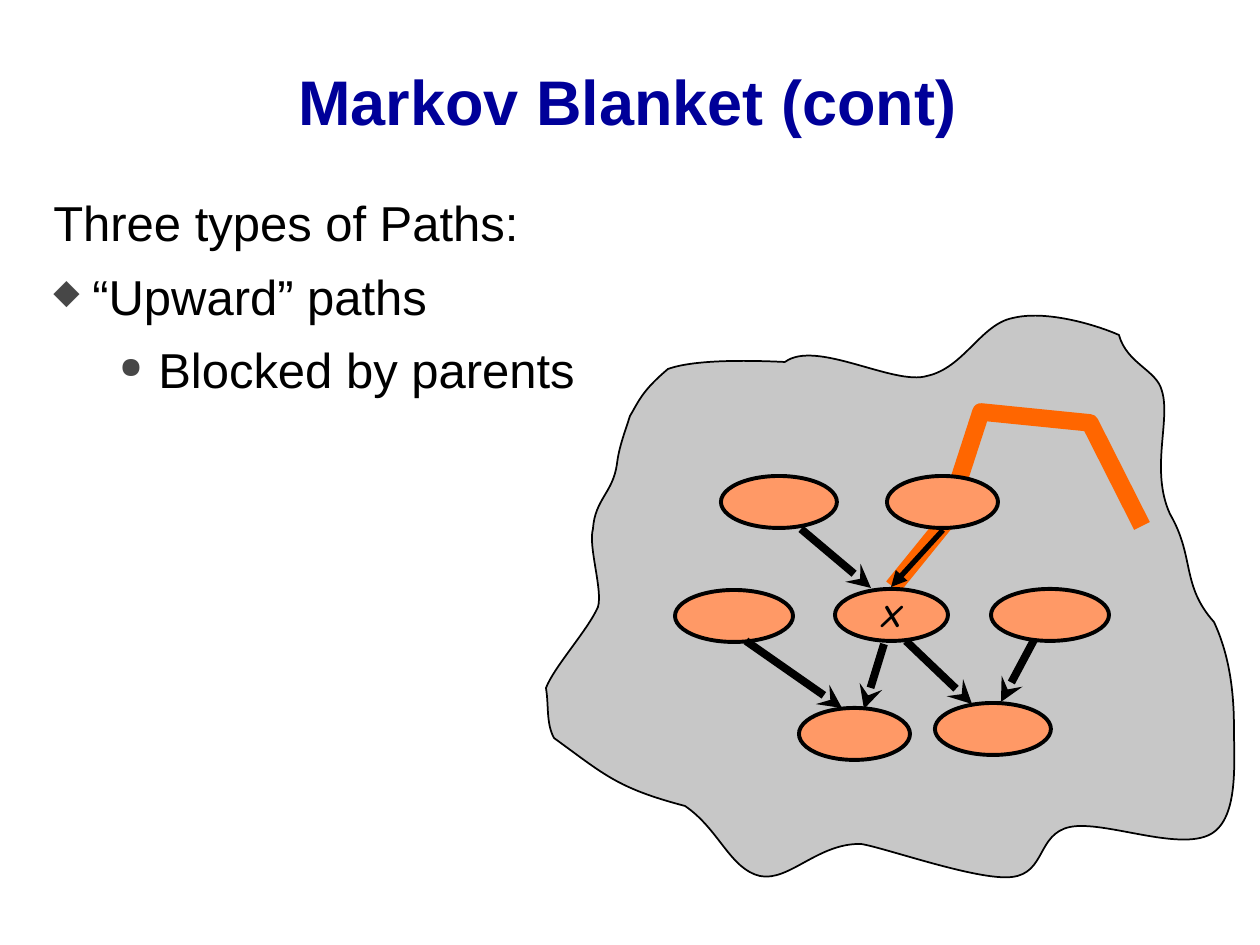
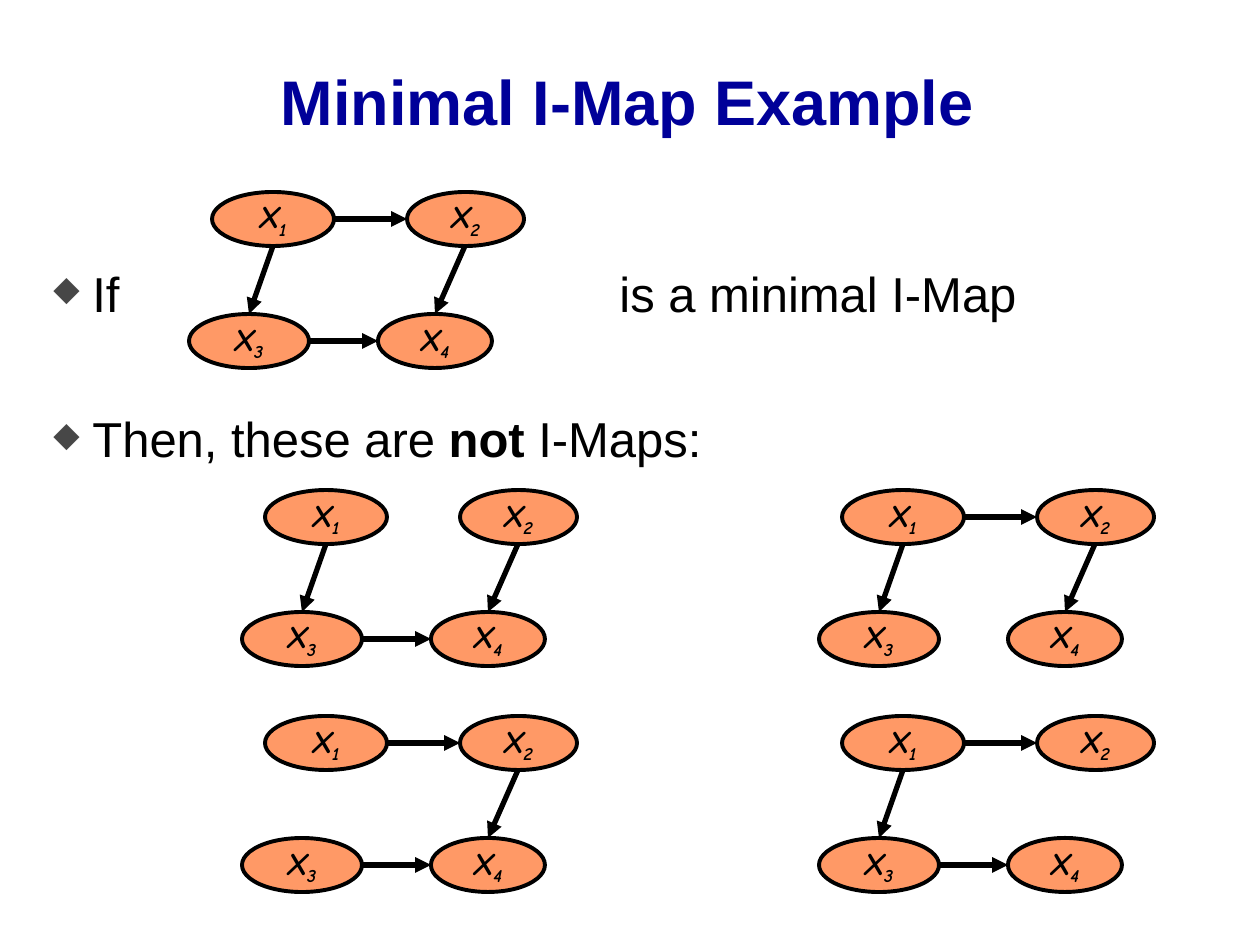
from dataclasses import dataclass

from lxml import etree
from pptx import Presentation
from pptx import util as u
from pptx.dml.color import RGBColor
from pptx.enum import shapes, text
from pptx.oxml.ns import qn

EMU_PER_PX = 914400 / 126


@dataclass(frozen=True)
class Theme:
    title: str = "000099"
    ink: str = "000000"
    bullet: str = "474747"
    node: str = "FF9966"
    route: str = "FF6600"
    cloud: str = "919191"
    text_font: str = "Arial"
    label_font: str = "Comic Neue"
    title_size: int = 36
    body_size: int = 28
    label_size: int = 18


THEME = Theme()
TITLE_BOX = (48, 21, 1159, 158)
DIAMOND = dict(bullet="◆", bullet_size=70, margin=39)
DISC = dict(bullet="●", bullet_size=60, margin=105)
HANG = 39

CLOUD_START = (139, 496)
CLOUD_CURVES = [
    (71, 478), (59, 465), (8, 428), (0, 413), (3, 396), (0, 378),
    (8, 357), (42, 320), (52, 297), (57, 280), (42, 236), (47, 219),
    (49, 189), (67, 183), (71, 154), (73, 137), (79, 122), (84, 106),
    (93, 91), (96, 81), (122, 59), (147, 50), (197, 50), (239, 52),
    (270, 29), (348, 76), (381, 66), (418, 58), (435, 14), (467, 8),
    (499, 0), (548, 14), (573, 25), (581, 54), (611, 60), (616, 81),
    (625, 110), (604, 160), (624, 204), (649, 247), (635, 275), (668, 312),
    (684, 346), (688, 384), (688, 417), (688, 452), (693, 508), (665, 524),
    (633, 542), (558, 510), (524, 517), (491, 524), (500, 563), (466, 567),
    (432, 571), (340, 538), (315, 534), (272, 533), (243, 572), (214, 566),
    (184, 559), (173, 519), CLOUD_START,
]
UPWARD_ROUTE = [(347, 277), (399, 213), (435, 102), (544, 113), (596, 216)]
BLANKET_NODES = [
    (175, 166, 116), (341, 166, 111), (129, 280, 118),
    (445, 279, 118), (253, 398, 111), (389, 393, 116),
]
TARGET_NODE = (289, 279, 113)
BLANKET_ARROWS = [
    (488, 330, 455, 392), (200, 331, 296, 398), (338, 334, 318, 399),
    (255, 219, 325, 278), (360, 331, 426, 394),
]
ROUTE_ARROW = (397, 220, 345, 277)

IMAP_NODES = {1: (23, 0, 122), 2: (218, 0, 117), 3: (0, 122, 120), 4: (189, 122, 114)}
IMAP_NODE_HEIGHT = 54
IMAP_EDGES = [(1, 2), (1, 3), (2, 4), (3, 4)]


def px(length):
    return u.Emu(round(length * EMU_PER_PX))


def rgb(color):
    return RGBColor.from_string(color)


def set_font(font, name, size, color, bold=False, italic=False):
    font.name = name
    font.size = u.Pt(size)
    font.color.rgb = rgb(color)
    font.bold = bold
    font.italic = italic


def set_outline(shape, color, weight):
    shape.shadow.inherit = False
    shape.line.color.rgb = rgb(color)
    shape.line.width = u.Pt(weight)


def add_text_box(slide, box):
    frame = slide.shapes.add_textbox(*map(px, box)).text_frame
    frame.word_wrap = True
    return frame


def add_title(slide, wording):
    frame = add_text_box(slide, TITLE_BOX)
    frame.vertical_anchor = text.MSO_ANCHOR.MIDDLE
    heading = frame.paragraphs[0]
    heading.text = wording
    heading.alignment = text.PP_ALIGN.CENTER
    set_font(heading.font, THEME.text_font, THEME.title_size, THEME.title, bold=True)


def set_bullet(paragraph, bullet=None, bullet_size=100, margin=0, tab=None):
    props = paragraph._p.get_or_add_pPr()
    props.set("marL", str(px(margin)))
    if bullet:
        props.set("indent", str(-px(HANG)))
        color = etree.SubElement(props, qn("a:buClr"))
        etree.SubElement(color, qn("a:srgbClr"), val=THEME.bullet)
        etree.SubElement(props, qn("a:buSzPct"), val=str(bullet_size * 1000))
        etree.SubElement(props, qn("a:buChar"), char=bullet)
    if tab:
        stops = etree.SubElement(props, qn("a:tabLst"))
        etree.SubElement(stops, qn("a:tab"), pos=str(px(tab)), algn="l")


def add_body(slide, box, items, gap):
    frame = add_text_box(slide, box)
    for index, (pieces, style) in enumerate(items):
        line = frame.paragraphs[0] if index == 0 else frame.add_paragraph()
        set_bullet(line, **style)
        if index:
            line.space_before = u.Pt(gap)
        set_font(line.font, THEME.text_font, THEME.body_size, THEME.ink)
        for position, piece in enumerate(pieces):
            run = line.add_run()
            run.text = piece
            if position % 2:
                run.font.bold = True


def add_node(slide, box, label="", subscript=""):
    node = slide.shapes.add_shape(shapes.MSO_SHAPE.OVAL, *map(px, box))
    node.fill.solid()
    node.fill.fore_color.rgb = rgb(THEME.node)
    set_outline(node, THEME.ink, 2.25)
    if label:
        frame = node.text_frame
        frame.word_wrap = False
        frame.vertical_anchor = text.MSO_ANCHOR.MIDDLE
        name = frame.paragraphs[0]
        name.alignment = text.PP_ALIGN.CENTER
        set_font(name.font, THEME.label_font, THEME.label_size, THEME.ink, bold=True, italic=True)
        name.add_run().text = label
        if subscript:
            lowered = name.add_run()
            lowered.text = subscript
            lowered._r.get_or_add_rPr().set("baseline", "-25000")


def add_arrow(slide, ends, weight, head):
    arrow = slide.shapes.add_connector(shapes.MSO_CONNECTOR.STRAIGHT, *map(px, ends))
    arrow.line.color.rgb = rgb(THEME.ink)
    arrow.line.width = u.Pt(weight)
    etree.SubElement(arrow.line._get_or_add_ln(), qn("a:tailEnd"), type=head)
    etree.SubElement(arrow._element.spPr, qn("a:effectLst"))


def add_outline(slide, left, top, points, close):
    spots = [(px(left + x), px(top + y)) for x, y in points]
    builder = slide.shapes.build_freeform(*spots[0])
    builder.add_line_segments(spots[1:], close=close)
    return builder.convert_to_shape()


def curve_segments(shape):
    segments = list(shape._element.iter(qn("a:lnTo")))
    for first, second, third in zip(*[iter(segments)] * 3):
        curve = etree.Element(qn("a:cubicBezTo"))
        first.addprevious(curve)
        for segment in (first, second, third):
            curve.append(segment[0])
            segment.getparent().remove(segment)


def add_cloud(slide, left, top):
    cloud = add_outline(slide, left, top, [CLOUD_START, *CLOUD_CURVES], close=True)
    curve_segments(cloud)
    cloud.fill.solid()
    cloud.fill.fore_color.rgb = rgb(THEME.cloud)
    tint = next(cloud._element.spPr.iter(qn("a:srgbClr")))
    etree.SubElement(tint, qn("a:alpha"), val="50000")
    set_outline(cloud, THEME.ink, 1)


def add_blanket(slide, left, top):
    add_cloud(slide, left, top)
    route = add_outline(slide, left, top, UPWARD_ROUTE, close=False)
    route.fill.background()
    set_outline(route, THEME.route, 10)
    for x, y, width in BLANKET_NODES:
        add_node(slide, (left + x, top + y, width, 52))
    x, y, width = TARGET_NODE
    add_node(slide, (left + x, top + y, width, 52), "X")
    styled = [(ends, 4.5, "stealth") for ends in BLANKET_ARROWS]
    for (x1, y1, x2, y2), weight, head in styled + [(ROUTE_ARROW, 3, "triangle")]:
        add_arrow(slide, (left + x1, top + y1, left + x2, top + y2), weight, head)


def add_imap(slide, left, top, missing=None):
    for number, (x, y, width) in IMAP_NODES.items():
        add_node(slide, (left + x, top + y, width, IMAP_NODE_HEIGHT), "X", str(number))
    for edge in IMAP_EDGES:
        if edge == missing:
            continue
        (x1, y1, width1), (x2, y2, width2) = (IMAP_NODES[number] for number in edge)
        if y1 == y2:
            middle = y1 + IMAP_NODE_HEIGHT // 2
            ends = (x1 + width1, middle, x2, middle)
        else:
            ends = (x1 + width1 // 2, y1 + IMAP_NODE_HEIGHT, x2 + width2 // 2, y2)
        x1, y1, x2, y2 = ends
        add_arrow(slide, (left + x1, top + y1, left + x2, top + y2), 3, "triangle")


def build_markov_blanket(slide):
    add_title(slide, "Markov Blanket (cont)")
    add_body(slide, (41, 186, 620, 220), [
        (["Three types of Paths:"], {}),
        (["“Upward” paths"], DIAMOND),
        (["Blocked by parents"], DISC),
    ], gap=8.6)
    add_blanket(slide, 546, 310)


def build_minimal_imap(slide):
    add_title(slide, "Minimal I-Map Example")
    add_body(slide, (41, 257, 1191, 220), [
        (["If\tis a minimal I-Map"], dict(DIAMOND, tab=566)),
        (["Then, these are ", "not", " I-Maps:"], DIAMOND),
    ], gap=49.5)
    add_imap(slide, 189, 192)
    for index, missing in enumerate([(1, 2), (3, 4), (1, 3), (2, 4)]):
        row, column = divmod(index, 2)
        add_imap(slide, 242 + 577 * column, 490 + 226 * row, missing)


def main():
    deck = Presentation()
    deck.slide_width, deck.slide_height = px(1260), px(945)
    for build in (build_markov_blanket, build_minimal_imap):
        build(deck.slides.add_slide(deck.slide_layouts[6]))
    deck.save("out.pptx")


if __name__ == "__main__":
    main()
